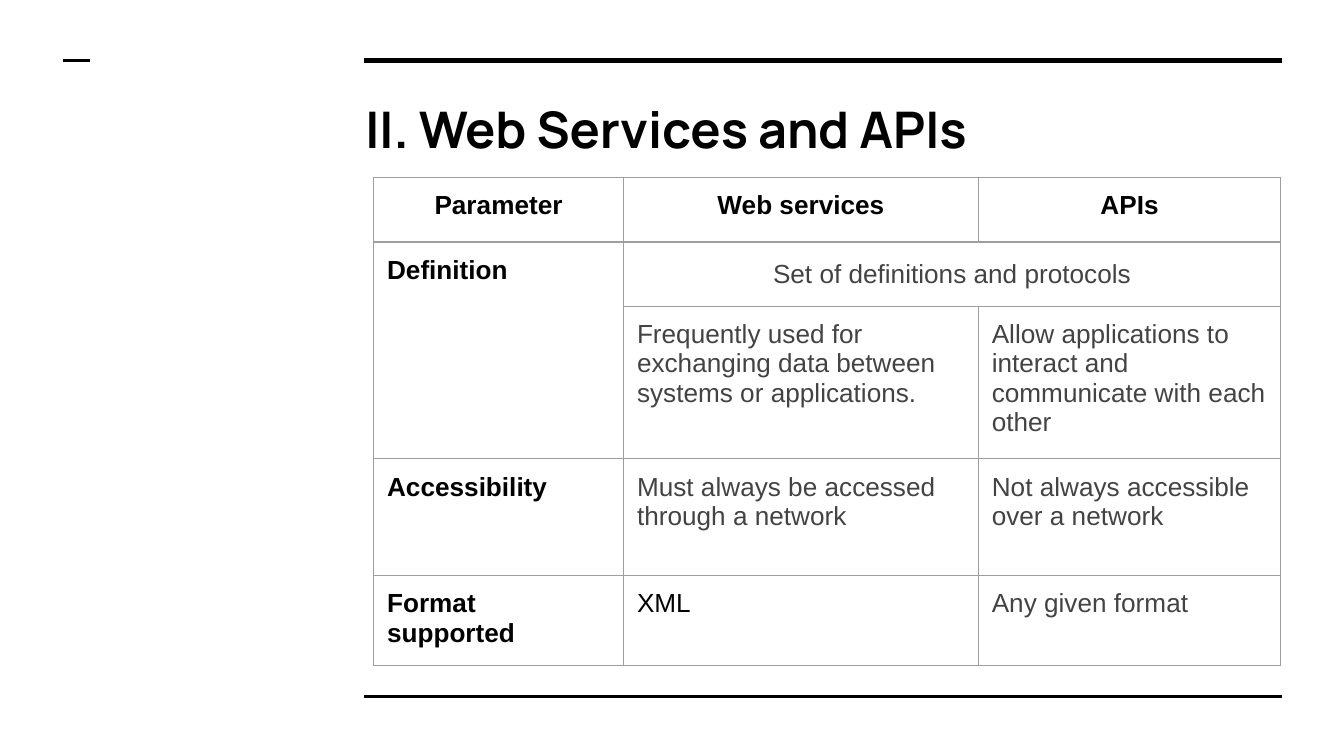
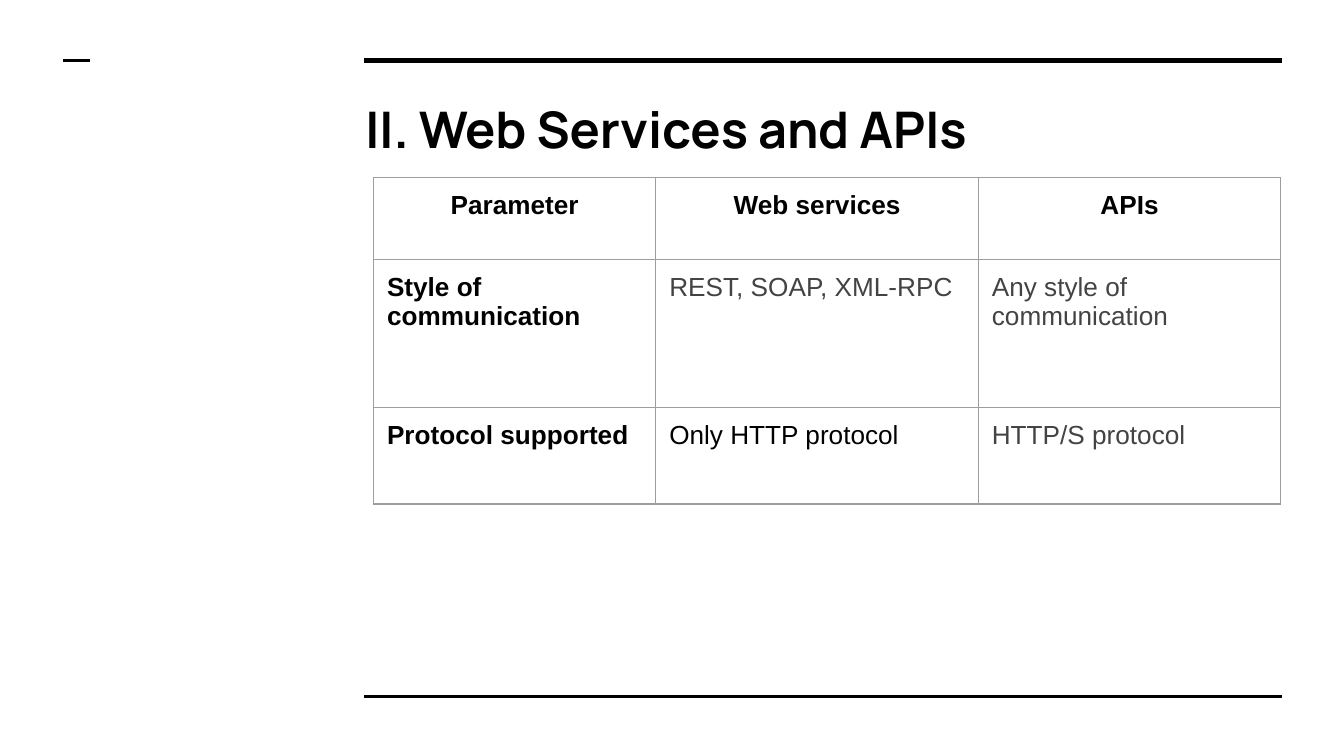
from lxml.etree import SubElement
from pptx import Presentation
from pptx.dml.color import RGBColor as RGB
from pptx.enum.shapes import MSO_CONNECTOR as LINK
from pptx.enum.text import MSO_ANCHOR as ANCHOR, PP_ALIGN as ALIGN
from pptx.oxml.ns import qn
from pptx.util import Inches, Pt

COLORS = {"ink": "000000", "body": "434343", "grid": "9E9E9E", "page": "FFFFFF"}
PAD = 0.1
HEAD = ["Parameter", "Web services", "APIs"]


class Deck:
    def __init__(self):
        self.prs = Presentation()
        self.prs.slide_width = Inches(10)
        self.prs.slide_height = Inches(10 * 9 / 16)
        self.slide = None

    def page(self, title):
        """Start a slide with the shared rules and title."""
        self.slide = self.prs.slides.add_slide(self.prs.slide_layouts[6])
        fill = self.slide.background.fill
        fill.solid()
        fill.fore_color.rgb = RGB.from_string(COLORS["page"])
        self.rule(2.71, 9.54, 0.45, 3)
        self.rule(2.71, 9.54, 5.18, 1.5)
        self.rule(0.47, 0.67, 0.45, 1.5)
        self.title(title)

    def rule(self, left, right, y, width):
        line = self.slide.shapes.add_connector(
            LINK.STRAIGHT, Inches(left), Inches(y), Inches(right), Inches(y))
        line.line.color.rgb = RGB.from_string(COLORS["ink"])
        line.line.width = Pt(width)
        SubElement(line._element.spPr, qn("a:effectLst"))

    def title(self, text):
        box = self.slide.shapes.add_textbox(
            Inches(2.62), Inches(0.63), Inches(6.91), Inches(0.69))
        frame = box.text_frame
        frame.word_wrap = True
        self.pad(frame)
        frame.text = text
        self.font(frame.paragraphs[0], "Manrope", 27, "ink", True)

    def pad(self, item):
        item.margin_left = item.margin_right = Inches(PAD)
        item.margin_top = item.margin_bottom = Inches(PAD)

    def font(self, para, name, size, color, bold):
        font = para.font
        font.name, font.size, font.bold = name, Pt(size), bold
        font.color.rgb = RGB.from_string(COLORS[color])

    def table(self, cols, rows, texts, dark=(), spans=()):
        """Fill a grid; dark cells take ink, spans pair the corners to merge."""
        frame = self.slide.shapes.add_table(
            len(rows), len(cols), Inches(2.78), Inches(1.32),
            Inches(sum(cols)), Inches(sum(rows)))
        grid = frame.table
        grid.first_row = grid.horz_banding = False
        for col, width in zip(grid.columns, cols):
            col.width = Inches(width)
        for row, height in zip(grid.rows, rows):
            row.height = Inches(height)
        for r, line in enumerate(texts):
            for c, text in enumerate(line):
                label = r == 0 or c == 0
                color = "ink" if label or (r, c) in dark else "body"
                self.cell(grid.cell(r, c), text, color, label, r == 0)
        for start, end in spans:
            first = grid.cell(*start)
            first.merge(grid.cell(*end))
            if end[1] > start[1]:
                first.vertical_anchor = ANCHOR.MIDDLE
                first.text_frame.paragraphs[0].alignment = ALIGN.CENTER

    def cell(self, cell, text, color, bold, center):
        self.pad(cell)
        if text:
            cell.text = text
            para = cell.text_frame.paragraphs[0]
            para.alignment = ALIGN.CENTER if center else ALIGN.LEFT
            self.font(para, "Arial", 14, color, bold)
        props = cell._tc.get_or_add_tcPr()
        for side in "LRTB":
            edge = SubElement(props, qn(f"a:ln{side}"), w=str(Pt(0.75)))
            paint = SubElement(edge, qn("a:solidFill"))
            SubElement(paint, qn("a:srgbClr"), val=COLORS["grid"])
        cell.fill.background()


def main():
    deck = Deck()
    title = "II. Web Services and APIs"

    deck.page(title)
    deck.table(
        [1.86, 2.64, 2.25], [0.48, 0.48, 1.11, 0.87, 0.57],
        [HEAD,
         ["Definition", "Set of definitions and protocols", None],
         [None,
          "Frequently used for exchanging data between systems or applications.",
          "Allow applications to interact and communicate with each other"],
         ["Accessibility", "Must always be accessed through a network",
          "Not always accessible over a network"],
         ["Format supported", "XML", "Any given format"]],
        dark=[(4, 1)],
        spans=[((1, 0), (2, 0)), ((1, 1), (1, 2))])

    deck.page(title)
    deck.table(
        [2.1, 2.4, 2.25], [0.61, 1.1, 0.72],
        [HEAD,
         ["Style of communication", "REST, SOAP, XML-RPC",
          "Any style of communication"],
         ["Protocol supported", "Only HTTP protocol", "HTTP/S protocol"]],
        dark=[(2, 1)])

    deck.prs.save("out.pptx")


if __name__ == "__main__":
    main()
